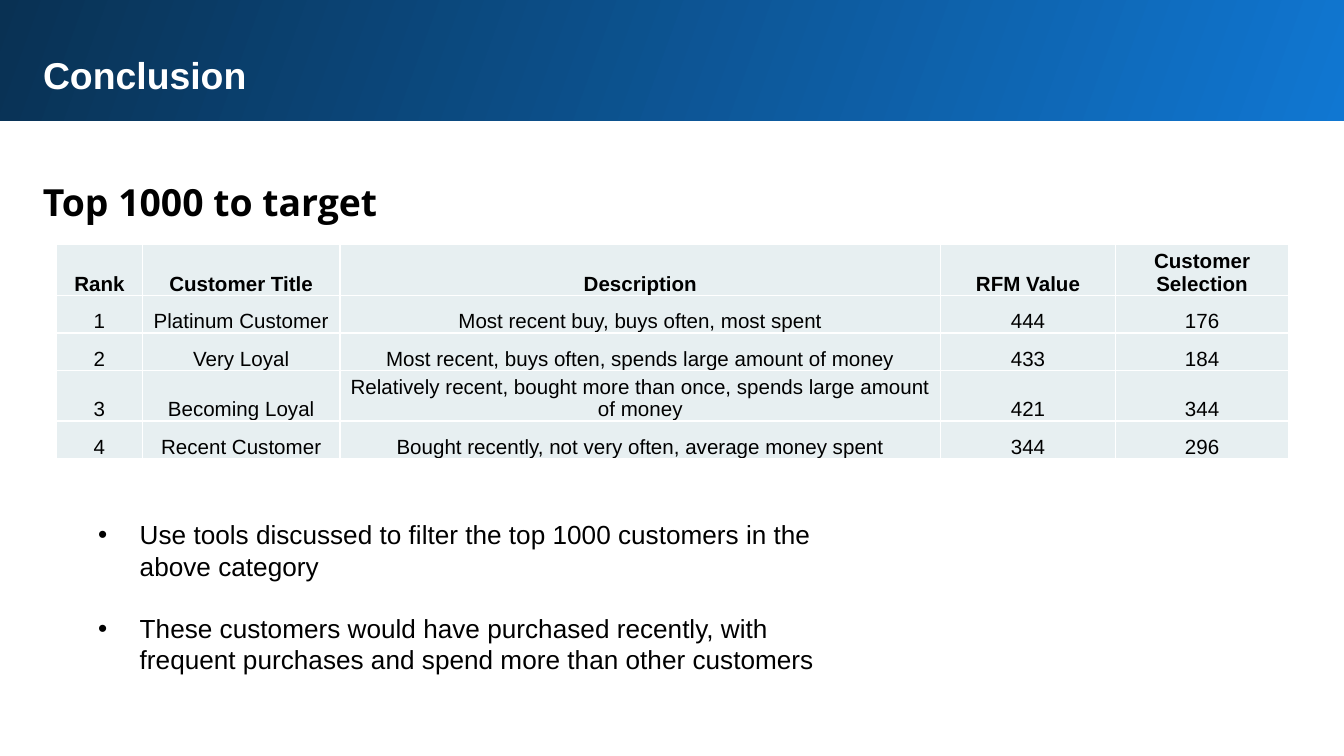
from dataclasses import dataclass

from lxml.etree import SubElement
from pptx import Presentation
from pptx.dml.color import RGBColor
from pptx.enum.shapes import MSO_SHAPE
from pptx.enum.text import MSO_ANCHOR, MSO_AUTO_SIZE, PP_ALIGN
from pptx.oxml.ns import qn
from pptx.util import Inches, Pt


@dataclass(frozen=True)
class Theme:
    """Colours, fonts and type sizes of the slide."""
    band_light: str = "1077D2"
    band_dark: str = "093153"
    cell: str = "E7EFF1"
    white: str = "FFFFFF"
    text: str = "000000"
    font: str = "Arial"
    heading_font: str = "Open Sans"
    heading_size: int = 20
    table_size: int = 11
    bullet_size: int = 14


THEME = Theme()
COLUMN_WIDTHS = [0.64, 1.47, 4.47, 1.3, 1.29]
ROW_HEIGHTS = [0.37, 0.28, 0.28, 0.37, 0.28]
SEGMENTS = [
    ["Rank", "Customer Title", "Description", "RFM Value", "Customer Selection"],
    ["1", "Platinum Customer", "Most recent buy, buys often, most spent", "444", "176"],
    ["2", "Very Loyal", "Most recent, buys often, spends large amount of money", "433", "184"],
    ["3", "Becoming Loyal",
     "Relatively recent, bought more than once, spends large amount of money", "421", "344"],
    ["4", "Recent Customer", "Bought recently, not very often, average money spent", "344", "296"],
]
ACTIONS = [
    "Use tools discussed to filter the top 1000 customers in the above category",
    "These customers would have purchased recently, with frequent purchases "
    "and spend more than other customers",
]


def style_runs(paragraph, size, color=THEME.text, bold=False, font=THEME.font):
    """Format every run of a paragraph."""
    for run in paragraph.runs:
        run.font.name = font
        run.font.size = Pt(size)
        run.font.bold = bold
        run.font.color.rgb = RGBColor.from_string(color)


def place(box, left, top, width, height, inset):
    """Position a text shape and prepare its frame."""
    box.left, box.top = Inches(left), Inches(top)
    box.width, box.height = Inches(width), Inches(height)
    frame = box.text_frame
    frame.margin_left = frame.margin_right = Inches(inset)
    frame.margin_top = frame.margin_bottom = Inches(inset)
    frame.word_wrap = True
    frame.auto_size = MSO_AUTO_SIZE.SHAPE_TO_FIT_TEXT
    frame.vertical_anchor = MSO_ANCHOR.TOP
    return frame


def add_band(slide):
    """Add the gradient header band behind everything else."""
    band = slide.shapes.add_shape(
        MSO_SHAPE.RECTANGLE, Inches(-0.02), Inches(-0.02), Inches(10.05), Inches(0.92))
    band.shadow.inherit = False
    band.line.fill.background()
    band.fill.gradient()
    band.fill.gradient_angle = 160
    for stop, color in zip(band.fill.gradient_stops, (THEME.band_light, THEME.band_dark)):
        stop.color.rgb = RGBColor.from_string(color)
    band._element.getparent().insert(2, band._element)


def fill_heading(box, text, top, height, color, font, line_spacing=1.0):
    """Write a bold, left-aligned heading."""
    frame = place(box, 0.22, top, 9.37, height, 0.1)
    frame.text = text
    heading = frame.paragraphs[0]
    heading.alignment = PP_ALIGN.LEFT
    heading.line_spacing = line_spacing
    style_runs(heading, THEME.heading_size, color, True, font)


def set_borders(cell):
    """Draw a white line on each side of a cell."""
    properties = cell._tc.get_or_add_tcPr()
    for position, side in enumerate(("a:lnL", "a:lnR", "a:lnT", "a:lnB")):
        line = SubElement(properties, qn(side), w=str(Pt(1)))
        SubElement(SubElement(line, qn("a:solidFill")), qn("a:srgbClr"), val=THEME.white)
        properties.insert(position, line)


def fill_cell(cell, text, bold):
    """Write and format one table cell."""
    cell.fill.solid()
    cell.fill.fore_color.rgb = RGBColor.from_string(THEME.cell)
    cell.margin_left = cell.margin_right = cell.margin_top = Inches(0.01)
    cell.margin_bottom = 0
    cell.vertical_anchor = MSO_ANCHOR.BOTTOM
    cell.text_frame.text = text
    paragraph = cell.text_frame.paragraphs[0]
    paragraph.alignment = PP_ALIGN.CENTER
    style_runs(paragraph, THEME.table_size, bold=bold)
    set_borders(cell)


def add_segment_table(slide):
    """Add the table of customer segments."""
    table = slide.shapes.add_table(
        len(ROW_HEIGHTS), len(COLUMN_WIDTHS), Inches(0.42), Inches(1.82),
        Inches(sum(COLUMN_WIDTHS)), Inches(sum(ROW_HEIGHTS))).table
    table.horz_banding = False
    for column, width in zip(table.columns, COLUMN_WIDTHS):
        column.width = Inches(width)
    for index, (row, height, texts) in enumerate(zip(table.rows, ROW_HEIGHTS, SEGMENTS)):
        row.height = Inches(height)
        for cell, text in zip(row.cells, texts):
            fill_cell(cell, text, bold=index == 0)


def fill_actions(box):
    """Write the bulleted actions."""
    frame = place(box, 0.68, 3.81, 5.54, 1.28, 0.05)
    frame.text = "\n".join(ACTIONS)
    for index, action in enumerate(frame.paragraphs):
        properties = action._p.get_or_add_pPr()
        properties.set("marL", str(Inches(0.31)))
        properties.set("indent", str(Inches(-0.31)))
        SubElement(properties, qn("a:buFont"), typeface=THEME.font)
        SubElement(properties, qn("a:buChar"), char="•")
        action.alignment = PP_ALIGN.LEFT
        action.line_spacing = 1.0
        action.space_before = Pt(16.5 if index else 0)
        style_runs(action, THEME.bullet_size)


def main():
    """Build and save the slide."""
    presentation = Presentation()
    presentation.slide_width = Inches(10)
    presentation.slide_height = presentation.slide_width * 9 // 16
    slide = presentation.slides.add_slide(presentation.slide_layouts[1])
    add_band(slide)
    fill_heading(slide.shapes.title, "Conclusion", 0.29, 0.54, THEME.white, THEME.font)
    subtitle = slide.shapes.add_textbox(0, 0, 0, 0)
    fill_heading(subtitle, "Top 1000 to target", 1.18, 0.56, THEME.text,
                 THEME.heading_font, 1.15)
    add_segment_table(slide)
    fill_actions(slide.placeholders[1])
    presentation.save("out.pptx")


if __name__ == "__main__":
    main()
